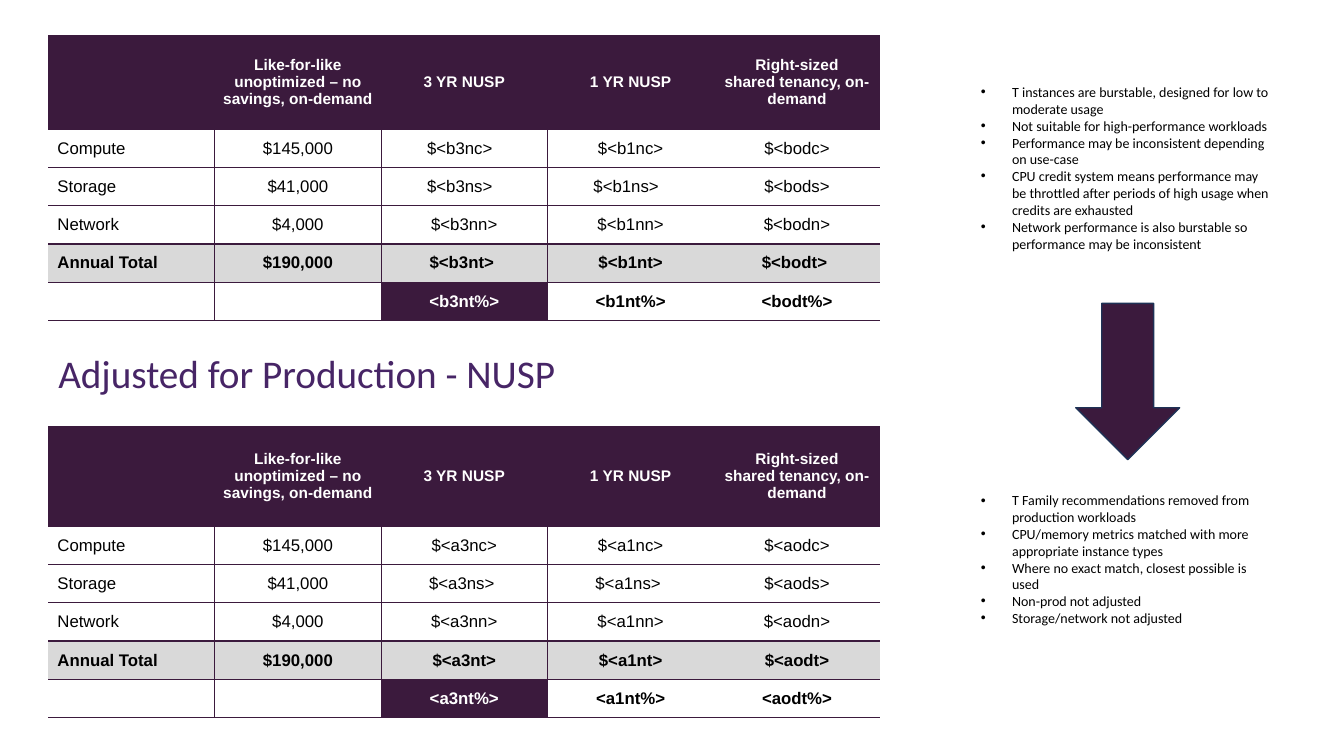
import dataclasses

import lxml.etree
import pptx
import pptx.dml.color
import pptx.enum.shapes
import pptx.enum.text
import pptx.oxml.ns
import pptx.util

Inches = pptx.util.Inches
Pt = pptx.util.Pt
qn = pptx.oxml.ns.qn
CENTER = pptx.enum.text.PP_ALIGN.CENTER
LEFT = pptx.enum.text.PP_ALIGN.LEFT
MIDDLE = pptx.enum.text.MSO_ANCHOR.MIDDLE


@dataclasses.dataclass
class Theme:
    plum: str = "3B1A3D"
    violet: str = "472566"
    navy: str = "1E3256"
    gray: str = "D9D9D9"
    black: str = "000000"
    white: str = "FFFFFF"
    table_font: str = "Arial"
    text_font: str = "Calibri"
    title_size: int = 28
    body_size: int = 12
    header_size: int = 11
    list_size: int = 10
    spacer_size: int = 8
    plain_table: str = "{2D5ABB26-0587-4C30-8999-92F81FD0307C}"


HEADERS = [
    "",
    "Like-for-like\nunoptimized – no savings, on-demand",
    "3 YR NUSP",
    "1 YR NUSP",
    "Right-sized\nshared tenancy, on-demand",
]
COSTS = [
    ("Compute", "$145,000", "c"),
    ("Storage", "$41,000", "s"),
    ("Network", "$4,000", "n"),
    ("Annual Total", "$190,000", "t"),
]
PLANS = ["3n", "1n", "od"]
RIGHT_INSETS = {
    "$<b3nc>": 0.09, "$<b3ns>": 0.09, "$<b1ns>": 0.09, "$<b3nt>": 0.05,
    "$<bodt>": 0.05, "$<a3ns>": 0.05, "$<a1ns>": 0.05,
}
BURSTABLE_NOTES = [
    "T instances are burstable, designed for low to moderate usage",
    "Not suitable for high-performance workloads",
    "Performance may be inconsistent depending on use-case",
    "CPU credit system means performance may be throttled after periods of high usage when credits are exhausted",
    "Network performance is also burstable so performance may be inconsistent",
]
ADJUSTED_NOTES = [
    "T Family recommendations removed from production workloads",
    "CPU/memory metrics matched with more appropriate instance types",
    "Where no exact match, closest possible is used",
    "Non-prod not adjusted",
    "Storage/network not adjusted",
]


def cost_rows(prefix):
    rows = [
        [label, amount] + [f"$<{prefix}{plan}{letter}>" for plan in PLANS]
        for label, amount, letter in COSTS
    ]
    return rows + [["", ""] + [f"<{prefix}{plan}t%>" for plan in PLANS]]


class SlideBuilder:
    def __init__(self, page, theme):
        self.page = page
        self.theme = theme

    def color(self, value):
        return pptx.dml.color.RGBColor.from_string(value)

    def style(self, para, font, size, color, bold=False):
        for span in para.runs:
            span.font.name = font
            span.font.size = Pt(size)
            span.font.bold = bold
            span.font.color.rgb = self.color(color)

    def text_box(self, left, top, width, height):
        box = self.page.shapes.add_textbox(
            Inches(left), Inches(top), Inches(width), Inches(height))
        box.text_frame.word_wrap = True
        return box.text_frame

    def title(self, text, left, top, width, height):
        frame = self.text_box(left, top, width, height)
        frame.vertical_anchor = MIDDLE
        frame.text = text
        para = frame.paragraphs[0]
        para.line_spacing = 0.9
        self.style(para, self.theme.text_font, self.theme.title_size, self.theme.violet)

    def bullets(self, lines, left, top, width, height):
        frame = self.text_box(left, top, width, height)
        frame.auto_size = pptx.enum.text.MSO_AUTO_SIZE.SHAPE_TO_FIT_TEXT
        frame.text = "\n".join(lines)
        for para in frame.paragraphs:
            properties = para._p.get_or_add_pPr()
            properties.set("marL", str(Inches(0.31)))
            properties.set("indent", str(-Inches(0.31)))
            lxml.etree.SubElement(properties, qn("a:buFont"), typeface="Arial")
            lxml.etree.SubElement(properties, qn("a:buChar"), char="•")
            self.style(para, self.theme.text_font, self.theme.list_size, self.theme.black)

    def down_arrow(self, left, top, width, height):
        arrow = self.page.shapes.add_shape(
            pptx.enum.shapes.MSO_SHAPE.DOWN_ARROW,
            Inches(left), Inches(top), Inches(width), Inches(height))
        arrow.shadow.inherit = False
        arrow.fill.solid()
        arrow.fill.fore_color.rgb = self.color(self.theme.plum)
        arrow.line.color.rgb = self.color(self.theme.navy)
        arrow.line.width = Pt(1)

    def cell(self, cell, text, size, color, bold=False, fill=None, edges="", align=CENTER):
        cell.vertical_anchor = MIDDLE
        cell.margin_left = Inches(0.09 if align == LEFT else 0)
        cell.margin_right = Inches(RIGHT_INSETS.get(text, 0))
        cell.margin_top = cell.margin_bottom = 0
        properties = cell._tc.get_or_add_tcPr()
        for edge in edges:
            line = lxml.etree.SubElement(properties, qn(f"a:ln{edge}"), w=str(Pt(1)))
            paint = lxml.etree.SubElement(line, qn("a:solidFill"))
            lxml.etree.SubElement(paint, qn("a:srgbClr"), val=self.theme.plum)
        if fill:
            cell.fill.solid()
            cell.fill.fore_color.rgb = self.color(fill)
        else:
            cell.fill.background()
        cell.text_frame.text = text
        for para in cell.text_frame.paragraphs:
            para.alignment = align
            self.style(para, self.theme.table_font, size, color, bold)
            if not text:
                lxml.etree.SubElement(para._p, qn("a:endParaRPr"), sz=str(size * 100))

    def cost_table(self, prefix, left, top, header_gap):
        theme = self.theme
        heights = [header_gap, 0.51, header_gap] + [0.38] * 5
        frame = self.page.shapes.add_table(
            len(heights), len(HEADERS), Inches(left), Inches(top),
            Inches(8.25), Inches(sum(heights)))
        table = frame.table
        table.first_row = table.horz_banding = False
        table._tbl.tblPr.find(qn("a:tableStyleId")).text = theme.plain_table
        for row, height in zip(table.rows, heights):
            row.height = Inches(height)
        for column in table.columns:
            column.width = Inches(1.65)

        blank = [""] * len(HEADERS)
        for row, texts in enumerate([blank, HEADERS, blank]):
            for column, text in enumerate(texts):
                size = theme.header_size if text else theme.spacer_size
                self.cell(table.cell(row, column), text, size, theme.white, True, theme.plum)
        table.cell(0, 0).merge(table.cell(2, 0))

        for row, texts in enumerate(cost_rows(prefix), 3):
            for column, text in enumerate(texts):
                highlight = row == 7 and column == 2
                fill = theme.plum if highlight else theme.gray if row == 6 else None
                sides = {0: "R", 1: "LR", 2: "L"}.get(column, "")
                self.cell(
                    table.cell(row, column), text, theme.body_size,
                    theme.white if highlight else theme.black, row >= 6, fill,
                    sides + "TB", LEFT if column == 0 else CENTER)


def main():
    deck = pptx.Presentation()
    deck.slide_width = Inches(13.33)
    deck.slide_height = Inches(7.5)
    page = deck.slides.add_slide(deck.slide_layouts[6])
    builder = SlideBuilder(page, Theme())
    builder.title("Adjusted for Production - NUSP", 0.48, 3.43, 6.94, 0.59)
    builder.cost_table("b", 0.48, 0.35, 0.19)
    builder.bullets(ADJUSTED_NOTES, 9.63, 4.83, 3.05, 1.45)
    builder.cost_table("a", 0.48, 4.23, 0.22)
    builder.bullets(BURSTABLE_NOTES, 9.63, 0.78, 3.05, 2.12)
    builder.down_arrow(10.67, 3.01, 1.03, 1.55)
    deck.save("out.pptx")


if __name__ == "__main__":
    main()
